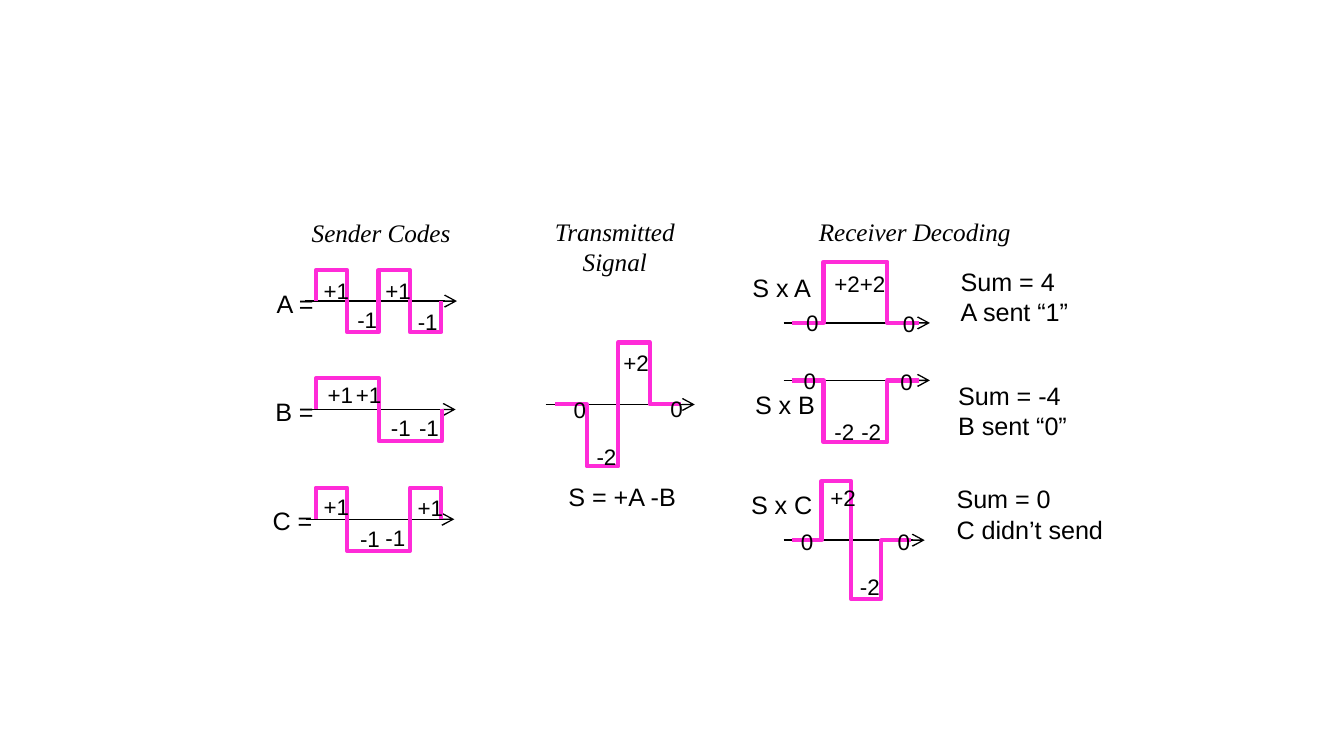
"""Code-division multiplexing: sender codes, transmitted signal, decoding."""
from lxml import etree
from pptx import Presentation
from pptx import util as u
from pptx.dml.color import RGBColor
from pptx.enum import text as t, shapes as s
from pptx.oxml.ns import qn

COLORS = {"ink": "000000", "signal": "FF2BD8"}
SANS, SERIF = "Arial", "Times New Roman"
LABEL_WIDTHS = {"+": 28, "-": 25.2, "0": 20.9}

# axis: left, right, baseline; wave: left, chip width, unit height
WAVES = [
    dict(axis=(163.4, 244.8, 161.3), wave=(169.2, 16.8, 16.6), chips=[1, -1, 1, -1],
         labels=[(166.3, 144.7), (184.3, 160.6), (199.4, 144.7), (216.7, 161.3)]),
    dict(axis=(164.2, 244.1, 219.4), wave=(169.4, 16.8, 16.9), chips=[1, 1, -1, -1],
         labels=[(168.5, 200.9), (183.6, 200.9), (202.3, 218.2), (217.4, 218.2)]),
    dict(axis=(164.2, 243.4, 278.2), wave=(169.2, 16.8, 16.9), chips=[1, -1, -1, 1],
         labels=[(166.3, 260.6), (185.8, 277.9), (199.4, 277.2), (216.7, 261.4)]),
    dict(axis=(292.3, 372.2, 216.7), wave=(297.4, 16.9, 16.6), chips=[0, -2, 2, 0],
         labels=[(300.2, 208.8), (312.5, 234), (326.9, 183.6), (352.1, 208.1)]),
    dict(axis=(419.8, 498.2, 173), wave=(424.1, 17.1, 16.4), chips=[0, 2, 2, 0],
         labels=[(424.8, 162), (439.9, 141.1), (453.6, 141.1), (476.6, 162.7)]),
    dict(axis=(419.8, 498.2, 203.8), wave=(424.1, 17.1, 16.6), chips=[0, -2, -2, 0],
         labels=[(423.4, 193), (439.9, 220.3), (454.3, 220.3), (475.2, 193.7)]),
    dict(axis=(419.8, 495.4, 289.4), wave=(424.1, 16, 15.8), chips=[0, 2, -2, 0],
         labels=[(421.9, 279.4), (437.8, 255.6), (453.6, 303.8), (473.8, 279.4)]),
]
CAPTIONS = [
    (["A ="], 141.1, 151.2, 34.6),
    (["B ="], 140.4, 208.8, 35.3),
    (["C ="], 139, 267.1, 36),
    (["S = +A -B"], 297.4, 254.2, 72.7),
    (["S x A"], 396, 142.6, 46.1),
    (["S x B"], 397.4, 205.2, 46.8),
    (["S x C"], 395.3, 258.5, 47.5),
    (["Sum = 4", "A sent “1”"], 507.6, 139, 72.7),
    (["Sum = -4", "B sent “0”"], 506.2, 200.2, 73.4),
    (["Sum = 0", "C didn’t send"], 505.4, 255.6, 94.3),
]
HEADINGS = [
    (["Sender Codes"], 159.1, 113, 90),
    (["Transmitted", "Signal"], 289.4, 112.3, 79.9),
    (["Receiver Decoding"], 430.6, 112.3, 118.8),
]


def rgb(name):
    return RGBColor.from_string(COLORS[name])


def add_text(slide, lines, left, top, width, size=13.5, font=SANS, heading=False):
    height = 7.2 + len(lines) * size * 1.2
    box = slide.shapes.add_textbox(*map(u.Pt, (left, top, width, height)))
    frame = box.text_frame
    frame.word_wrap = False
    frame.auto_size = t.MSO_AUTO_SIZE.SHAPE_TO_FIT_TEXT
    for i, line in enumerate(lines):
        paragraph = frame.add_paragraph() if i else frame.paragraphs[0]
        paragraph.alignment = t.PP_ALIGN.CENTER if heading else t.PP_ALIGN.LEFT
        run = paragraph.add_run()
        run.text = line
        run.font.size = u.Pt(size)
        run.font.name = font
        run.font.italic = heading
        run.font.color.rgb = rgb("ink")


def add_axis(slide, left, right, baseline):
    axis = slide.shapes.add_connector(
        s.MSO_CONNECTOR.STRAIGHT, *map(u.Pt, (left, baseline, right, baseline)))
    axis.line.color.rgb = rgb("ink")
    axis.line.width = u.Pt(0.75)
    etree.SubElement(axis.line._get_or_add_ln(), qn("a:tailEnd"), type="arrow")
    etree.SubElement(axis._element.spPr, qn("a:effectLst"))


def add_wave(slide, left, step, unit, baseline, chips):
    points = [(left, baseline)]
    for i, chip in enumerate(chips):
        level = baseline - chip * unit
        points += [(left + i * step, level), (left + (i + 1) * step, level)]
    points.append((left + len(chips) * step, baseline))
    points = [(u.Pt(x), u.Pt(y)) for x, y in dict.fromkeys(points)]
    builder = slide.shapes.build_freeform(*points[0])
    builder.add_line_segments(points[1:], close=False)
    wave = builder.convert_to_shape()
    wave.shadow.inherit = False
    wave.fill.background()
    wave.line.color.rgb = rgb("signal")
    wave.line.width = u.Pt(2.25)
    etree.SubElement(wave.line._get_or_add_ln(), qn("a:round"))


def main():
    deck = Presentation()
    deck.slide_width, deck.slide_height = u.Pt(720), u.Pt(405)
    slide = deck.slides.add_slide(deck.slide_layouts[6])
    for item in WAVES:
        add_axis(slide, *item["axis"])
        add_wave(slide, *item["wave"], item["axis"][2], item["chips"])
        for chip, (left, top) in zip(item["chips"], item["labels"]):
            label = f"{chip:+d}" if chip else "0"
            add_text(slide, [label], left, top, LABEL_WIDTHS[label[0]], size=12)
    for caption in CAPTIONS:
        add_text(slide, *caption)
    for title in HEADINGS:
        add_text(slide, *title, font=SERIF, heading=True)
    deck.save("out.pptx")


if __name__ == "__main__":
    main()
